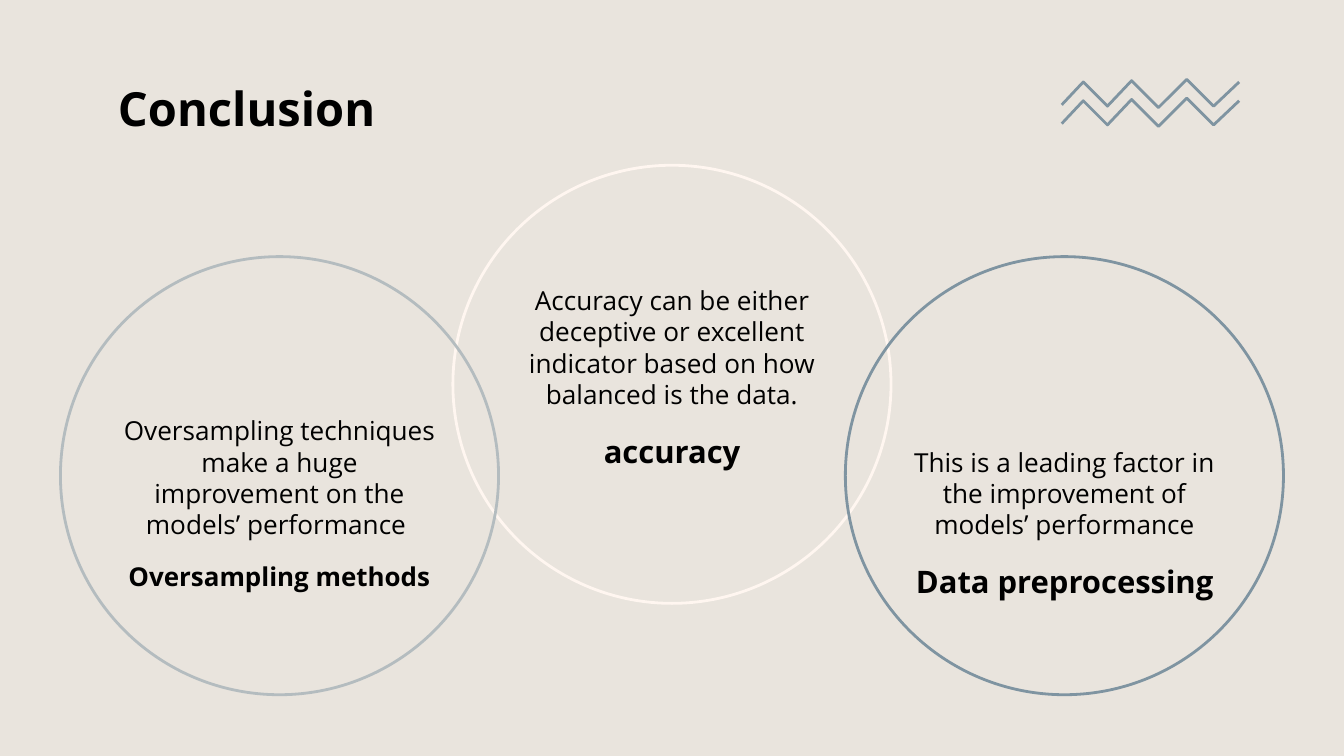
"""Build the conclusion slide: three overlapping circles with findings and a zigzag ornament."""
import pptx
import pptx.dml.color
import pptx.enum.shapes
import pptx.enum.text
import pptx.util

Inches = pptx.util.Inches
RGBColor = pptx.dml.color.RGBColor
ANCHOR = pptx.enum.text.MSO_ANCHOR
ALIGN = pptx.enum.text.PP_ALIGN

BACKGROUND = RGBColor(0xE9, 0xE4, 0xDD)
INK = RGBColor(0x00, 0x00, 0x00)
CREAM = RGBColor(0xFF, 0xF6, 0xF0)
SILVER = RGBColor(0xB4, 0xBC, 0xBF)
SLATE = RGBColor(0x7F, 0x94, 0xA1)

SLIDE_WIDTH = 10
SLIDE_HEIGHT = SLIDE_WIDTH * 9 / 16
DIAMETER = 3.26
TEXT_WIDTH = 2.59
DETAIL_HEIGHT = 1.31
HEADING_HEIGHT = 0.63
CENTRED = {"alignment": ALIGN.CENTER, "space_after": pptx.util.Pt(12)}

CIRCLES = [(5, 1.23, CREAM), (2.08, 1.91, SILVER), (7.92, 1.91, SLATE)]

FINDINGS = [
    (2.08, 2.81, "Oversampling methods", 13.9, 0.8,
     "Oversampling techniques make a huge improvement on the models’ performance "),
    (5, 1.84, "accuracy", 16.6, 0.9,
     "Accuracy can be either deceptive or excellent indicator based on how balanced is the data."),
    (7.92, 2.81, "Data preprocessing", 16.6, 0.9,
     "This is a leading factor in the improvement of models’ performance"),
]

ZIGZAG = [(7.9, 0.78), (8.06, 0.61), (8.24, 0.79), (8.42, 0.6),
          (8.62, 0.8), (8.83, 0.59), (9.03, 0.79), (9.22, 0.61)]
ZIGZAG_GAP = 0.14


def apply(target, values):
    for name, value in values.items():
        setattr(target, name, value)


def outline(shape, color):
    shape.shadow.inherit = False
    shape.fill.background()
    shape.line.color.rgb = color
    shape.line.width = pptx.util.Pt(1.5)


def add_circle(slide, center, top, color):
    circle = slide.shapes.add_shape(
        pptx.enum.shapes.MSO_SHAPE.OVAL, Inches(center - DIAMETER / 2), Inches(top),
        Inches(DIAMETER), Inches(DIAMETER))
    outline(circle, color)


def add_text(slide, box, text, size, bold=False, anchor=ANCHOR.TOP, paragraph_format=None):
    frame = slide.shapes.add_textbox(*map(Inches, box)).text_frame
    margins = dict.fromkeys(
        ("margin_left", "margin_top", "margin_right", "margin_bottom"), Inches(0.1))
    apply(frame, {"word_wrap": True, "vertical_anchor": anchor, **margins})
    paragraph = frame.paragraphs[0]
    apply(paragraph, paragraph_format or {})
    run = paragraph.add_run()
    run.text = text
    apply(run.font, {"name": "Open Sans", "size": pptx.util.Pt(size), "bold": bold})
    run.font.color.rgb = INK


def add_finding(slide, center, top, heading, size, spacing, detail):
    left = center - TEXT_WIDTH / 2
    add_text(slide, (left, top + DETAIL_HEIGHT, TEXT_WIDTH, HEADING_HEIGHT),
             heading, size, bold=True, paragraph_format={**CENTRED, "line_spacing": spacing})
    add_text(slide, (left, top, TEXT_WIDTH, DETAIL_HEIGHT),
             detail, 14, anchor=ANCHOR.BOTTOM, paragraph_format=CENTRED)


def add_zigzag(slide, drop):
    points = [(Inches(x), Inches(y + drop)) for x, y in ZIGZAG]
    builder = slide.shapes.build_freeform(*points[0])
    builder.add_line_segments(points[1:], close=False)
    outline(builder.convert_to_shape(), SLATE)


def main():
    deck = pptx.Presentation()
    apply(deck, {"slide_width": Inches(SLIDE_WIDTH), "slide_height": Inches(SLIDE_HEIGHT)})
    slide = deck.slides.add_slide(deck.slide_layouts[6])
    slide.background.fill.solid()
    slide.background.fill.fore_color.rgb = BACKGROUND

    for circle in CIRCLES:
        add_circle(slide, *circle)
    add_text(slide, (0.78, 0.49, 8.44, 0.63), "Conclusion", 25.2, bold=True,
             anchor=ANCHOR.MIDDLE)
    for finding in FINDINGS:
        add_finding(slide, *finding)
    for drop in (ZIGZAG_GAP, 0):
        add_zigzag(slide, drop)

    deck.save("out.pptx")


if __name__ == "__main__":
    main()
